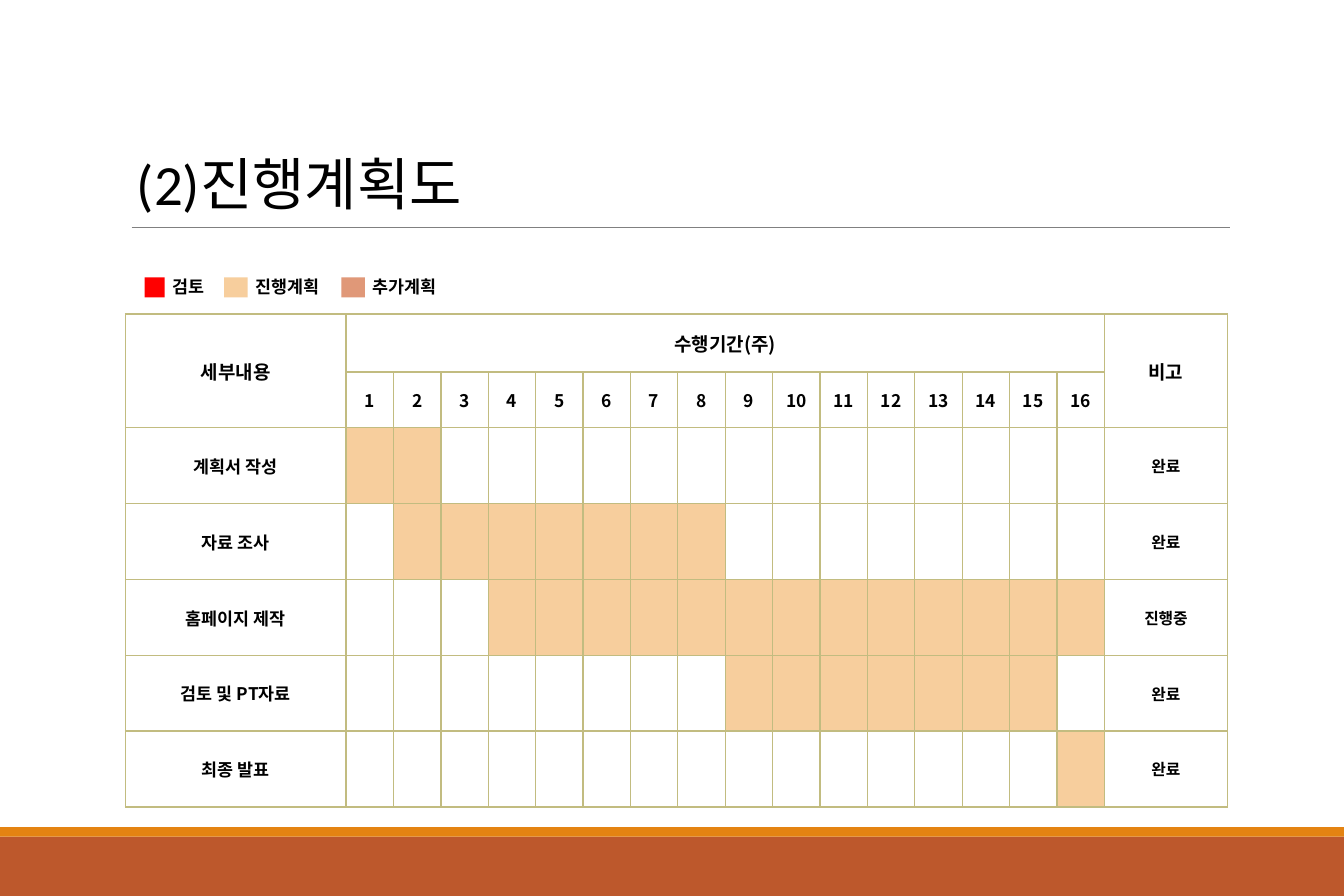
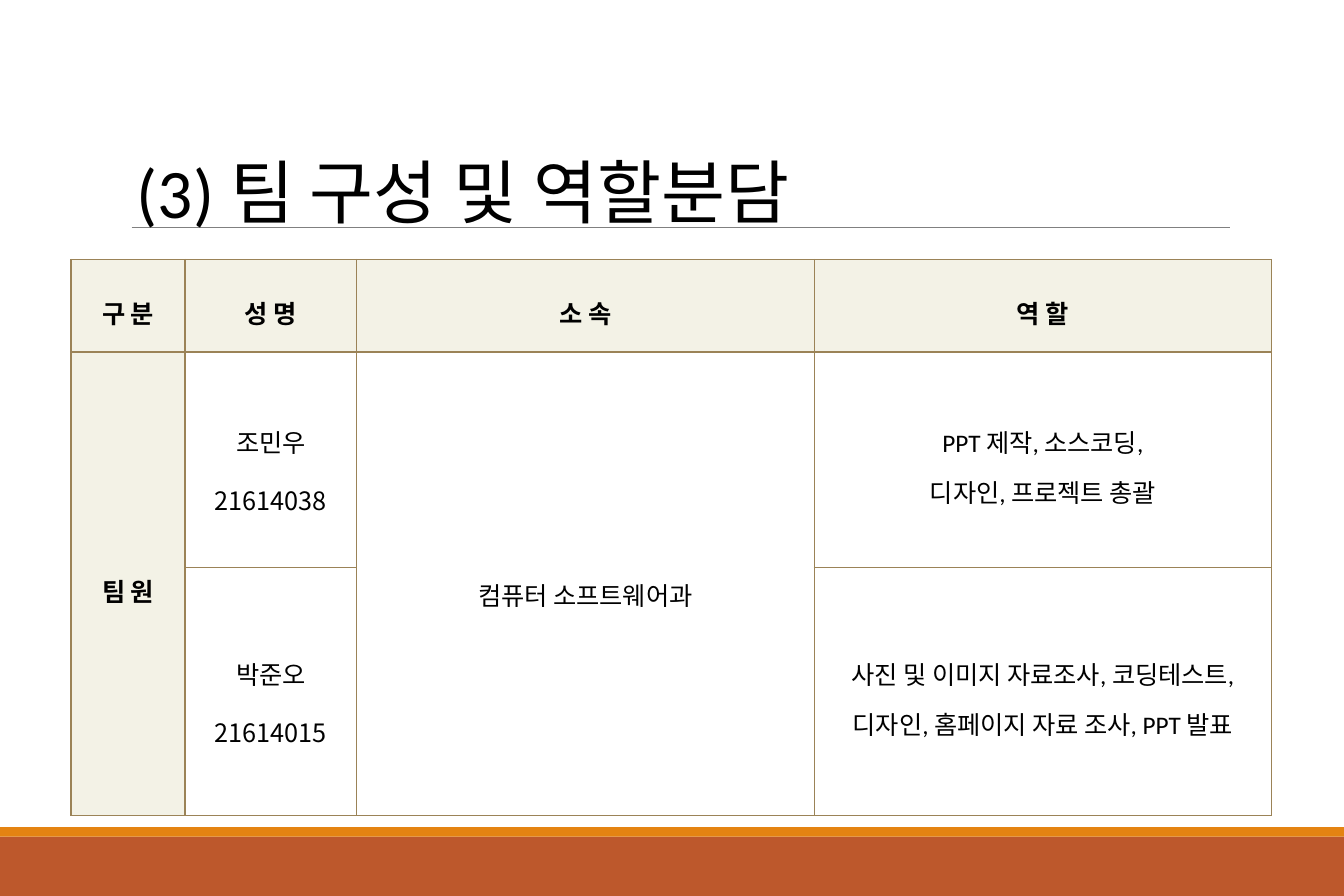
from lxml.etree import SubElement
from pptx import Presentation
from pptx.dml.color import RGBColor
from pptx.enum.shapes import MSO_CONNECTOR, MSO_SHAPE
from pptx.enum.text import MSO_ANCHOR, PP_ALIGN
from pptx.oxml.ns import qn
from pptx.util import Pt

EMU_PER_PX = 9525


def px(n):
    return n * EMU_PER_PX


def rgb(color):
    return RGBColor.from_string(color)


class Deck:
    WIDTH, HEIGHT = 1134, 756
    LATIN, KOREAN = "Calibri", "Noto Sans CJK KR"
    TEXT, RULE = "000000", "808080"
    BAND, STRIP = "BD582C", "E48312"
    PLAN, EXTRA, REVIEW = "F7CE9D", "E09878", "FF0000"
    PLAN_GRID, TEAM_GRID, HEADER = "C2BC80", "9B8357", "F3F2E6"

    def __init__(self):
        self.prs = Presentation()
        self.prs.slide_width = px(self.WIDTH)
        self.prs.slide_height = px(self.HEIGHT)
        self.s = None

    def slide(self, title, size):
        """Start a slide with the shared bands, rule and title."""
        self.s = self.prs.slides.add_slide(self.prs.slide_layouts[6])
        self.rect(0, 706, self.WIDTH, 50, self.BAND)
        self.rect(0, 698, self.WIDTH, 8, self.STRIP)
        self.line(111, 192, 1038, 192)
        self.text(106, 121, 920, 70, title, size, self.LATIN)

    def rect(self, x, y, w, h, color):
        sp = self.s.shapes.add_shape(MSO_SHAPE.RECTANGLE, px(x), px(y), px(w), px(h))
        sp.shadow.inherit = False
        sp.fill.solid()
        sp.fill.fore_color.rgb = rgb(color)
        sp.line.fill.background()

    def line(self, x1, y1, x2, y2):
        cn = self.s.shapes.add_connector(
            MSO_CONNECTOR.STRAIGHT, px(x1), px(y1), px(x2), px(y2))
        cn.line.color.rgb = rgb(self.RULE)
        cn.line.width = Pt(0.5)
        SubElement(cn._element.spPr, qn("a:effectLst"))

    def run(self, p, text, size, font, bold=False):
        r = p.add_run()
        r.text = text
        r.font.size = Pt(size)
        r.font.bold = bold
        r.font.color.rgb = rgb(self.TEXT)
        r.font.name = font
        SubElement(r._r.get_or_add_rPr(), qn("a:ea"), typeface=font)

    def text(self, x, y, w, h, text, size, font, bold=False):
        tf = self.s.shapes.add_textbox(px(x), px(y), px(w), px(h)).text_frame
        tf.word_wrap = True
        self.run(tf.paragraphs[0], text, size, font, bold)

    def table(self, x, y, cols, rows, grid):
        """Add an unfilled table whose cells all have the same border."""
        frame = self.s.shapes.add_table(
            len(rows), len(cols), px(x), px(y), px(sum(cols)), px(sum(rows)))
        t = frame.table
        t.first_row = t.horz_banding = False
        for col, w in zip(t.columns, cols):
            col.width = px(w)
        for row, h in zip(t.rows, rows):
            row.height = px(h)
        for cell in t.iter_cells():
            cell.margin_left = cell.margin_right = px(2)
            cell.margin_top = cell.margin_bottom = px(2)
            cell.vertical_anchor = MSO_ANCHOR.MIDDLE
            self.border(cell, grid)
            cell.fill.background()
        return t

    def border(self, cell, color):
        tcPr = cell._tc.get_or_add_tcPr()
        for side in ("a:lnL", "a:lnR", "a:lnT", "a:lnB"):
            ln = SubElement(tcPr, qn(side), w=str(Pt(1)))
            fill = SubElement(ln, qn("a:solidFill"))
            SubElement(fill, qn("a:srgbClr"), val=color)

    def fill(self, cell, color):
        cell.fill.solid()
        cell.fill.fore_color.rgb = rgb(color)

    def cell_text(self, cell, lines, size, font, bold=False, spacing=None):
        tf = cell.text_frame
        for i, text in enumerate(lines):
            p = tf.add_paragraph() if i else tf.paragraphs[0]
            p.alignment = PP_ALIGN.CENTER
            p.line_spacing = spacing
            self.run(p, text, size, font, bold)


def plan_slide(d):
    d.slide("(2)진행계획도", 36)
    weeks = 16
    tasks = [  # label, first week, last week, status
        ("계획서 작성", 1, 2, "완료"),
        ("자료 조사", 2, 8, "완료"),
        ("홈페이지 제작", 4, 16, "진행중"),
        ("검토 및 PT자료", 9, 15, "완료"),
        ("최종 발표", 16, 16, "완료"),
    ]
    note = weeks + 1
    t = d.table(106, 265, [186] + [40] * weeks + [104],
                [49, 47] + [64] * len(tasks), d.PLAN_GRID)
    t.cell(0, 0).merge(t.cell(1, 0))
    t.cell(0, 1).merge(t.cell(0, weeks))
    t.cell(0, note).merge(t.cell(1, note))

    def label(row, col, text, size):
        d.cell_text(t.cell(row, col), [text], size, d.KOREAN, True)

    for col, head in ((0, "세부내용"), (1, "수행기간(주)"), (note, "비고")):
        label(0, col, head, 12)
    for week in range(1, weeks + 1):
        label(1, week, str(week), 11)
    for row, (task, first, last, status) in enumerate(tasks, 2):
        label(row, 0, task, 11)
        label(row, note, status, 10)
        for week in range(first, last + 1):
            d.fill(t.cell(row, week), d.PLAN)

    legend = [(122, 17, 14, "검토", d.REVIEW),
              (189, 20, 17, "진행계획", d.PLAN),
              (288, 20, 17, "추가계획", d.EXTRA)]
    for x, w, gap, text, color in legend:
        d.rect(x, 234, w, 17, color)
        d.text(x + gap, 228, 87, 28, text, 11, d.KOREAN, True)


def team_slide(d):
    d.slide("(3) 팀 구성 및 역할분담", 44)
    t = d.table(60, 219, [96, 145, 386, 386], [78, 182, 209], d.TEAM_GRID)
    t.cell(1, 0).merge(t.cell(2, 0))
    t.cell(1, 2).merge(t.cell(2, 2))

    heads = [(0, 0, "구 분"), (0, 1, "성 명"), (0, 2, "소 속"),
             (0, 3, "역 할"), (1, 0, "팀 원")]
    for row, col, text in heads:
        d.fill(t.cell(row, col), d.HEADER)
        d.cell_text(t.cell(row, col), [text], 16, d.LATIN, True, 1.6)

    members = [
        (["조민우", "21614038"],
         ["PPT 제작, 소스코딩,", "디자인, 프로젝트 총괄"]),
        (["박준오", "21614015"],
         ["사진 및 이미지 자료조사, 코딩테스트,",
          "디자인, 홈페이지 자료 조사, PPT 발표"]),
    ]
    for row, (name, role) in enumerate(members, 1):
        d.cell_text(t.cell(row, 1), name, 16, d.KOREAN, spacing=1.6)
        d.cell_text(t.cell(row, 3), role, 16, d.LATIN, spacing=1.6)
    d.cell_text(t.cell(1, 2), ["컴퓨터 소프트웨어과"], 16, d.KOREAN, spacing=1.6)


def main():
    d = Deck()
    plan_slide(d)
    team_slide(d)
    d.prs.save("out.pptx")


if __name__ == "__main__":
    main()
